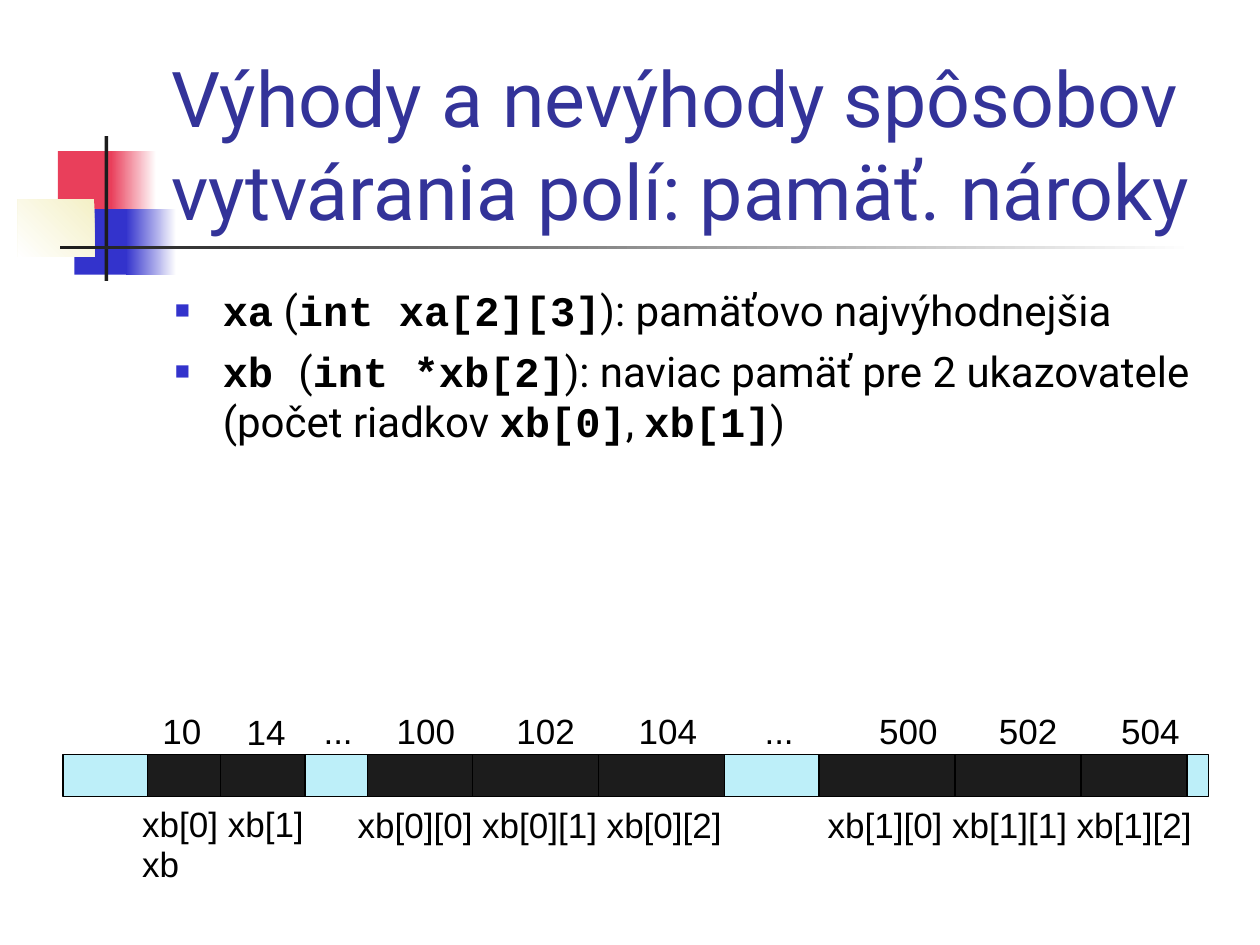
from dataclasses import dataclass

from lxml import etree
from pptx import Presentation
from pptx.dml.color import RGBColor
from pptx.enum.shapes import MSO_CONNECTOR, MSO_SHAPE
from pptx.enum.text import MSO_ANCHOR, MSO_AUTO_SIZE, PP_ALIGN
from pptx.oxml.ns import qn
from pptx.util import Inches, Pt

RECTANGLE = MSO_SHAPE.RECTANGLE
STRAIGHT = MSO_CONNECTOR.STRAIGHT
TOP, BOTTOM = MSO_ANCHOR.TOP, MSO_ANCHOR.BOTTOM
NO_FIT = MSO_AUTO_SIZE.NONE
LEFT = PP_ALIGN.LEFT
TITLE_ONLY = 5


@dataclass(frozen=True)
class Theme:
    title: str = "333399"
    text: str = "000000"
    red: str = "E93F5B"
    blue: str = "3333CC"
    cream: str = "F4F0C6"
    dark: str = "1C1C1C"
    free: str = "BDEFF9"
    white: str = "FFFFFF"
    body_font: str = "Roboto"
    code_font: str = "Courier New"
    label_font: str = "Arial"
    title_size: int = 44
    body_size: int = 24
    label_size: int = 20
    line_width: float = 0.75


THEME = Theme()

BAR_TOP, BAR_HEIGHT = 5.99, 0.33
ADDRESS_TOP = 5.58
LABEL_HEIGHT = 0.44
ROW_ADDRESSES = {3.05: 100, 6.88: 500}
ADDRESS_OFFSETS = (0, 0.95, 1.92)
BYTES_PER_INT = 2

# Each bullet alternates code and plain spans, starting with code.
BULLETS = [
    ["xa", " (", "int xa[2][3]", "): pamäťovo najvýhodnejšia"],
    ["xb ", "(", "int *xb[2]",
     "): naviac pamäť pre 2 ukazovatele (počet riadkov ",
     "xb[0]", ", ", "xb[1]", ")"],
]


def color(value):
    return RGBColor.from_string(value)


def style_font(font, name, size, value, bold=False):
    formats = {"name": name, "size": Pt(size), "bold": bold}
    for attribute, setting in formats.items():
        setattr(font, attribute, setting)
    font.color.rgb = color(value)


def style_frame(frame, wrap=True, anchor=TOP):
    formats = {
        "word_wrap": wrap, "vertical_anchor": anchor, "auto_size": NO_FIT,
        "margin_left": Inches(0.1), "margin_right": Inches(0.1),
        "margin_top": Inches(0.05), "margin_bottom": Inches(0.05),
    }
    for attribute, setting in formats.items():
        setattr(frame, attribute, setting)


def add_rectangle(page, area, outlined=False):
    box = page.shapes.add_shape(RECTANGLE, *map(Inches, area))
    box.shadow.inherit = False
    if outlined:
        box.line.color.rgb = color(THEME.text)
        box.line.width = Pt(THEME.line_width)
    else:
        box.line.fill.background()
    return box


def add_solid(page, area, value, outlined=False):
    box = add_rectangle(page, area, outlined)
    box.fill.solid()
    box.fill.fore_color.rgb = color(value)


def add_fade(page, area, first, last, angle=180):
    """Add a rectangle with a two-colour gradient; angle is counter-clockwise."""
    fill = add_rectangle(page, area).fill
    fill.gradient()
    fill.gradient_angle = angle
    for stop, value in zip(fill.gradient_stops, (first, last)):
        stop.color.rgb = color(value)


def add_divider(page, x):
    line = page.shapes.add_connector(
        STRAIGHT, Inches(x), Inches(BAR_TOP),
        Inches(x), Inches(BAR_TOP + BAR_HEIGHT))
    line.line.color.rgb = color(THEME.text)
    line.line.width = Pt(THEME.line_width)
    etree.SubElement(line._element.spPr, qn("a:effectLst"))


def add_label(page, x, y, width, text):
    box = page.shapes.add_textbox(*map(Inches, (x, y, width, LABEL_HEIGHT)))
    style_frame(box.text_frame, wrap=False)
    span = box.text_frame.paragraphs[0].add_run()
    span.text = text
    style_font(span.font, THEME.label_font, THEME.label_size, THEME.text)


def add_decoration(page):
    add_solid(page, (0.46, 1.2, 0.48, 0.52), THEME.red)
    add_fade(page, (0.88, 1.2, 0.36, 0.52), THEME.white, THEME.red)
    add_solid(page, (0.59, 1.66, 0.46, 0.52), THEME.blue)
    add_fade(page, (1, 1.66, 0.4, 0.52), THEME.white, THEME.blue)
    add_fade(page, (0.14, 1.58, 0.61, 0.46), THEME.cream, THEME.white, 225)
    add_solid(page, (0.83, 1.08, 0.03, 1.15), THEME.dark)
    add_fade(page, (0.48, 1.95, 9, 0.03), THEME.white, THEME.dark)


def set_title(page, text):
    title = page.shapes.title
    area = {"left": 1.26, "top": 0.67, "width": 8.52, "height": 1.25}
    for attribute, value in area.items():
        setattr(title, attribute, Inches(value))
    style_frame(title.text_frame, anchor=BOTTOM)
    para = title.text_frame.paragraphs[0]
    para.alignment = LEFT
    span = para.add_run()
    span.text = text
    style_font(span.font, THEME.body_font, THEME.title_size, THEME.title)
    # Bring the title in front of the decoration.
    page.shapes._spTree.append(title._element)


def set_bullet(para):
    properties = para._p.get_or_add_pPr()
    properties.set("marL", str(Inches(0.38)))
    properties.set("indent", str(-Inches(0.38)))
    bullet_color = etree.SubElement(properties, qn("a:buClr"))
    etree.SubElement(bullet_color, qn("a:srgbClr"), val=THEME.blue)
    etree.SubElement(properties, qn("a:buSzPct"), val="60000")
    etree.SubElement(properties, qn("a:buFont"), typeface=THEME.label_font)
    etree.SubElement(properties, qn("a:buChar"), char="■")


def add_bullets(page):
    box = page.shapes.add_textbox(*map(Inches, (1.29, 2.21, 8.5, 1.94)))
    frame = box.text_frame
    style_frame(frame)
    for number, texts in enumerate(BULLETS):
        para = frame.add_paragraph() if number else frame.paragraphs[0]
        set_bullet(para)
        if number:
            para.space_before = Pt(6)
        for position, text in enumerate(texts):
            is_code = position % 2 == 0
            span = para.add_run()
            span.text = text
            name = THEME.code_font if is_code else THEME.body_font
            style_font(span.font, name, THEME.body_size, THEME.text, is_code)


def add_memory(page):
    add_solid(page, (1.17, BAR_TOP, 8.33, BAR_HEIGHT), THEME.dark, True)
    for x in (1.75, 3.75, 4.75, 7.58, 8.58):
        add_divider(page, x)
    for x, width in ((0.5, 0.67), (2.42, 0.5), (5.75, 0.75), (9.42, 0.17)):
        add_solid(page, (x, BAR_TOP, width, BAR_HEIGHT), THEME.free, True)

    add_label(page, 1.19, ADDRESS_TOP, 0.51, "10")
    add_label(page, 1.86, ADDRESS_TOP + 0.01, 0.51, "14")
    for x in (2.47, 5.97):
        add_label(page, x, ADDRESS_TOP, 0.43, "...")
    for left, start in ROW_ADDRESSES.items():
        for column, offset in enumerate(ADDRESS_OFFSETS):
            address = start + column * BYTES_PER_INT
            add_label(page, left + offset, ADDRESS_TOP, 0.66, str(address))

    add_label(page, 1.03, 6.32, 1.48, "xb[0] xb[1]")
    for row, x in enumerate((2.74, 6.47)):
        names = " ".join(f"xb[{row}][{column}]" for column in range(3))
        add_label(page, x, 6.33, 3.09, names)
    add_label(page, 1.03, 6.64, 0.49, "xb")


def main():
    deck = Presentation()
    deck.slide_width, deck.slide_height = Inches(10), Inches(7.5)
    page = deck.slides.add_slide(deck.slide_layouts[TITLE_ONLY])
    add_decoration(page)
    set_title(page, "Výhody a nevýhody spôsobov vytvárania polí: pamäť. nároky")
    add_bullets(page)
    add_memory(page)
    deck.save("out.pptx")


if __name__ == "__main__":
    main()
